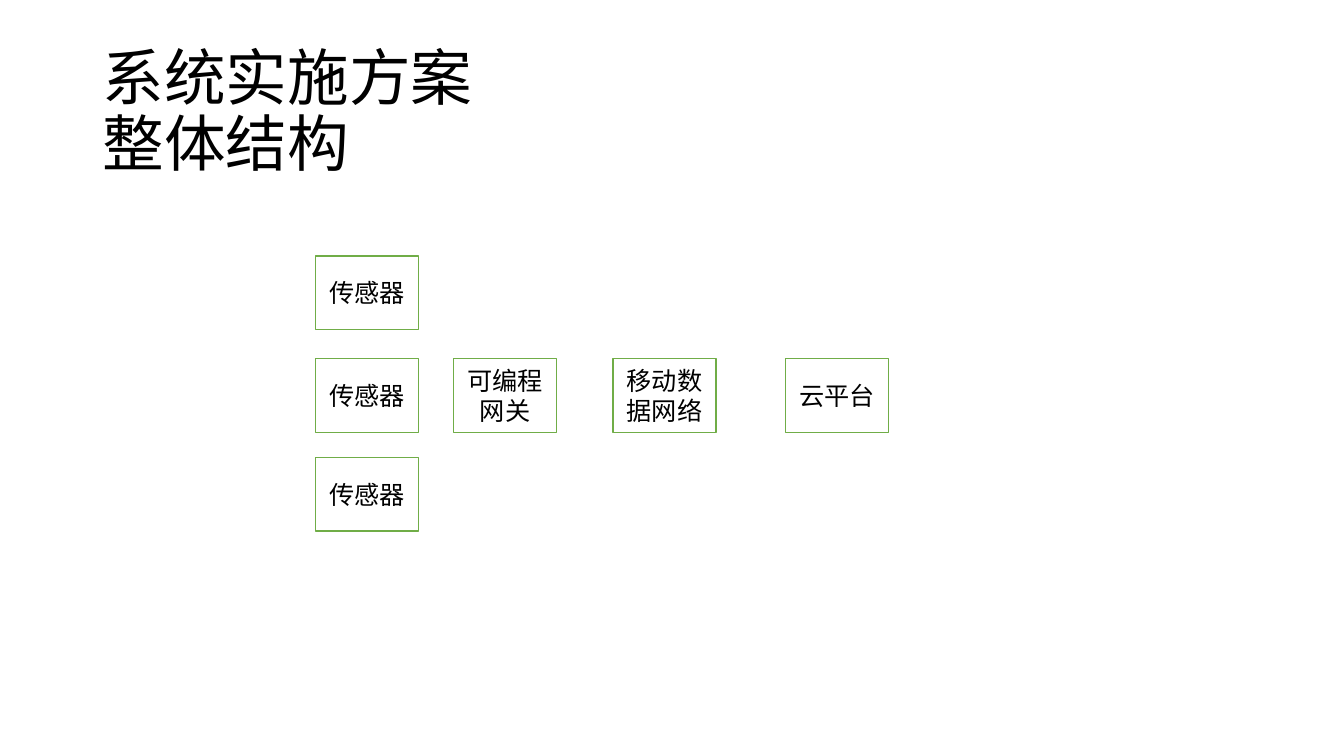
"""Build the slide that shows the overall system structure."""
from dataclasses import dataclass

from pptx import Presentation
from pptx.dml.color import RGBColor
from pptx.enum.shapes import MSO_SHAPE
from pptx.enum.text import MSO_ANCHOR, PP_ALIGN
from pptx.util import Inches, Pt

RECT = MSO_SHAPE.RECTANGLE
MIDDLE = MSO_ANCHOR.MIDDLE
LEFT, CENTER = PP_ALIGN.LEFT, PP_ALIGN.CENTER


@dataclass(frozen=True)
class Theme:
    font: str = "Calibri"
    ink: RGBColor = RGBColor(0, 0, 0)
    paper: RGBColor = RGBColor(255, 255, 255)
    edge: RGBColor = RGBColor(0x70, 0xAD, 0x47)
    head: int = 44
    body: int = 18
    line: int = 1


class Page:
    def __init__(self, slide, theme):
        self.slide, self.theme = slide, theme

    def label(self, shape, text, size, align):
        frame = shape.text_frame
        frame.word_wrap = True
        frame.vertical_anchor = MIDDLE
        para = frame.paragraphs[0]
        para.text = text
        para.alignment = align
        font = para.font
        font.name, font.size = self.theme.font, Pt(size)
        font.color.rgb = self.theme.ink
        return para

    def title(self, text, *area):
        shape = self.slide.shapes.add_textbox(*map(Inches, area))
        para = self.label(shape, text, self.theme.head, LEFT)
        para.line_spacing = 0.9

    def box(self, text, *area):
        shape = self.slide.shapes.add_shape(RECT, *map(Inches, area))
        shape.shadow.inherit = False
        shape.fill.solid()
        shape.fill.fore_color.rgb = self.theme.paper
        shape.line.color.rgb = self.theme.edge
        shape.line.width = Pt(self.theme.line)
        self.label(shape, text, self.theme.body, CENTER)


deck = Presentation()
deck.slide_width, deck.slide_height = Inches(13.33), Inches(7.5)
page = Page(deck.slides.add_slide(deck.slide_layouts[6]), Theme())

page.title("系统实施方案\n整体结构", 0.92, 0.4, 11.5, 1.45)

BOX = (1.02, 0.73)
ROW = 3.56
for top in (2.54, ROW, 4.54):
    page.box("传感器", 3.13, top, *BOX)
for text, left in (("可编程网关", 4.5), ("移动数据网络", 6.08), ("云平台", 7.79)):
    page.box(text, left, ROW, *BOX)

deck.save("out.pptx")
